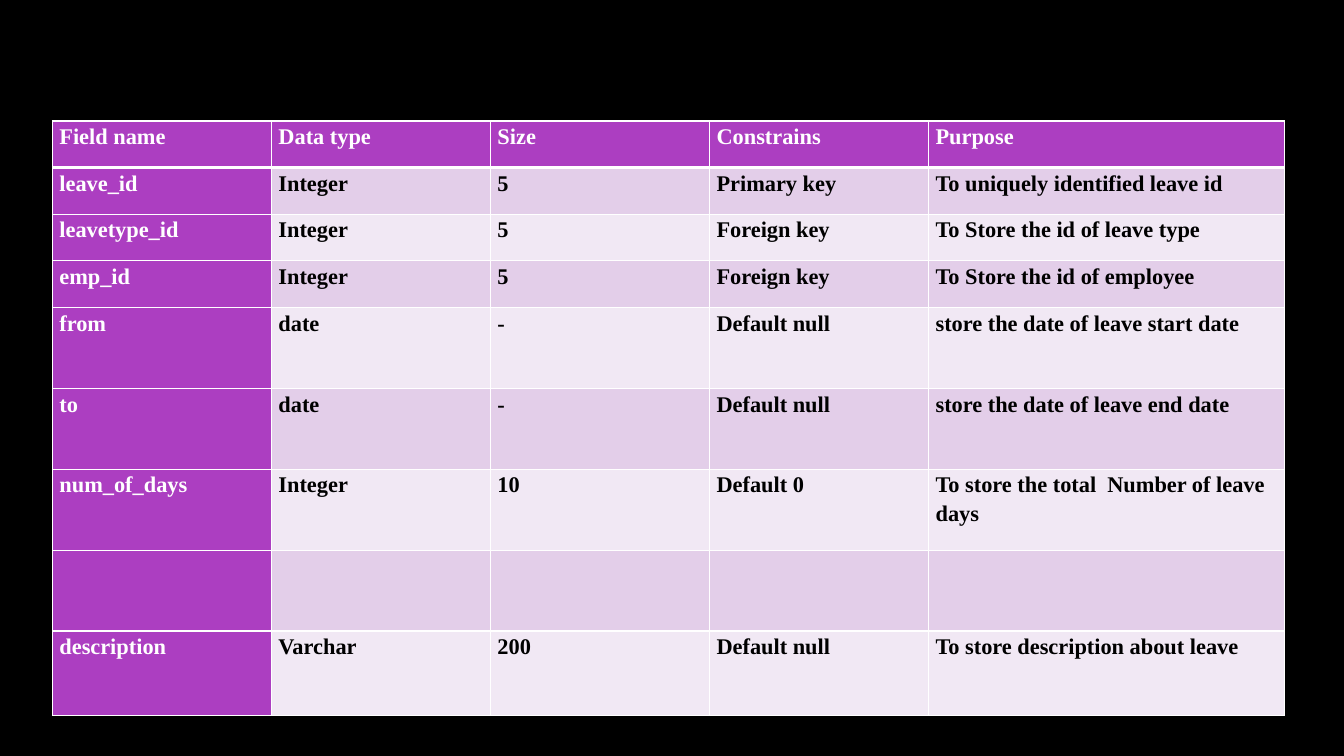
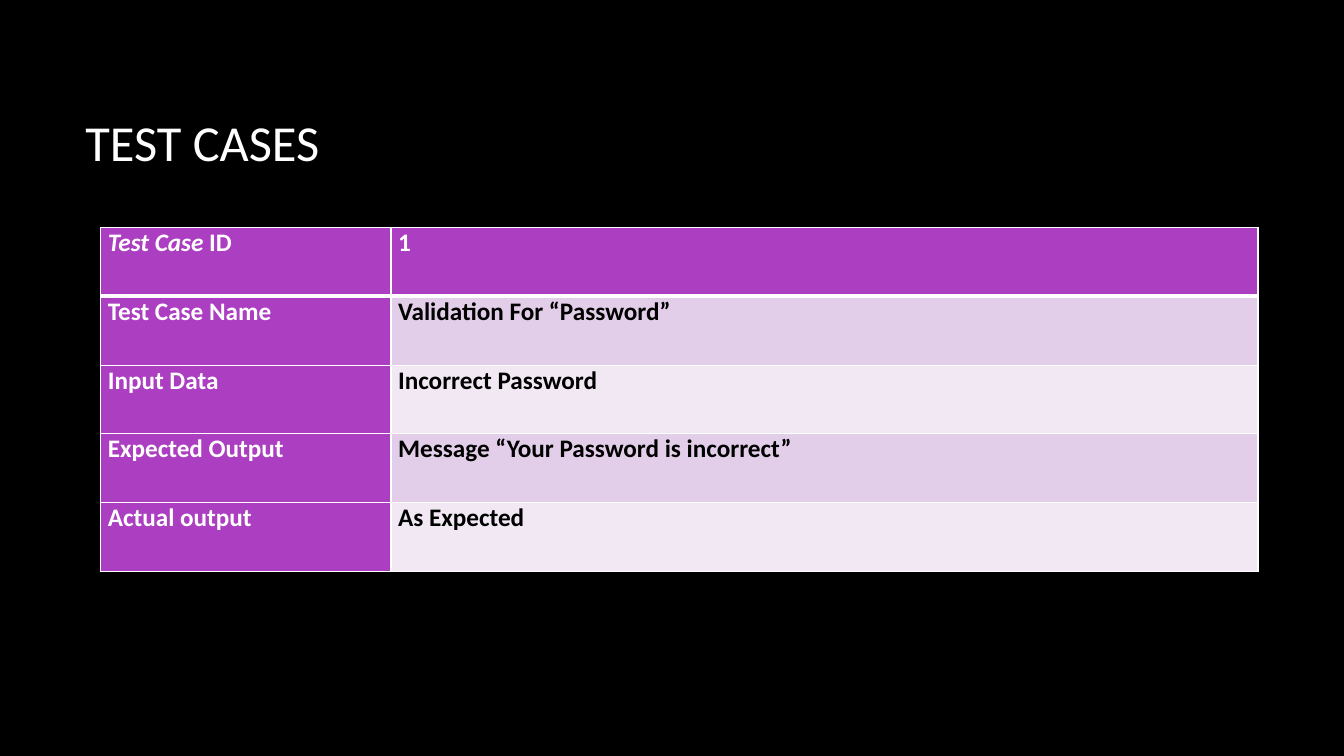
from lxml import etree
from pptx import Presentation
from pptx import util as u
from pptx.dml import color as dml
from pptx.enum import text
from pptx.oxml import ns

TITLE_ONLY, BLANK = 5, 6


def rgb(value):
    return dml.RGBColor.from_string(value)


def apply(target, values):
    for name, value in values.items():
        setattr(target, name, value)


class Deck:
    BLACK, WHITE = "000000", "FFFFFF"
    PURPLE, BANDS = "AC3EC1", ("E3CEE9", "F1E8F4")
    THIN, THICK = 1, 3
    TITLE_FONT = {"name": "Calibri", "size": u.Pt(36), "bold": False}
    TITLE_FRAME = {"vertical_anchor": text.MSO_ANCHOR.MIDDLE, "word_wrap": True,
                   "auto_size": text.MSO_AUTO_SIZE.NONE}
    CELL = {"margin_left": u.Inches(0.07), "margin_right": u.Inches(0.07),
            "margin_top": 0, "margin_bottom": 0,
            "vertical_anchor": text.MSO_ANCHOR.TOP}

    def __init__(self):
        self.presentation = Presentation()
        apply(self.presentation, {"slide_width": u.Inches(13.33),
                                  "slide_height": u.Inches(7.5)})
        self.slide = None

    def across(self, percent):
        return round(self.presentation.slide_width * percent / 100)

    def down(self, percent):
        return round(self.presentation.slide_height * percent / 100)

    def add_slide(self, layout):
        layouts = self.presentation.slide_layouts
        self.slide = self.presentation.slides.add_slide(layouts[layout])
        fill = self.slide.background.fill
        fill.solid()
        fill.fore_color.rgb = rgb(self.BLACK)

    def title(self, wording, left, top, width, height):
        shape = self.slide.shapes.title
        apply(shape, {"left": self.across(left), "top": self.down(top),
                      "width": self.across(width), "height": self.down(height)})
        apply(shape.text_frame, self.TITLE_FRAME)
        paragraph = shape.text_frame.paragraphs[0]
        paragraph.alignment = text.PP_ALIGN.LEFT
        self.run(paragraph, wording, self.TITLE_FONT, self.WHITE)

    def run(self, paragraph, wording, font, color):
        run = paragraph.add_run()
        run.text = wording
        apply(run.font, font)
        run.font.color.rgb = rgb(color)

    def borders(self, cell, row):
        properties = cell._tc.get_or_add_tcPr()
        widths = {"lnL": self.THIN, "lnR": self.THIN,
                  "lnT": self.THICK if row == 1 else self.THIN,
                  "lnB": self.THICK if row == 0 else self.THIN}
        for index, (side, width) in enumerate(widths.items()):
            line = etree.Element(ns.qn(f"a:{side}"), w=str(u.Pt(width)))
            fill = etree.SubElement(line, ns.qn("a:solidFill"))
            etree.SubElement(fill, ns.qn("a:srgbClr"), val=self.WHITE)
            properties.insert(index, line)

    def cell(self, cell, row, column, content, font, spacing):
        heading = row == 0 or column == 0
        apply(cell, self.CELL)
        cell.fill.solid()
        cell.fill.fore_color.rgb = rgb(
            self.PURPLE if heading else self.BANDS[(row - 1) % 2])
        self.borders(cell, row)
        paragraph = cell.text_frame.paragraphs[0]
        apply(paragraph, spacing)
        runs = [(content, False)] if isinstance(content, str) else content
        for wording, italic in runs:
            if wording:
                self.run(paragraph, wording, {**font, "italic": italic},
                         self.WHITE if heading else self.BLACK)

    def table(self, left, top, widths, heights, rows, font, spacing):
        table = self.slide.shapes.add_table(
            len(heights), len(widths), self.across(left), self.down(top),
            self.across(sum(widths)), self.down(sum(heights))).table
        table.first_col = True
        for column, width in zip(table.columns, widths):
            column.width = self.across(width)
        for row, height in zip(table.rows, heights):
            row.height = self.down(height)
        for row, contents in enumerate(rows):
            for column, content in enumerate(contents):
                self.cell(table.cell(row, column), row, column,
                          content, font, spacing)


LEAVE_FIELDS = [
    ("Field name", "Data type", "Size", "Constrains", "Purpose"),
    ("leave_id", "Integer", "5", "Primary key", "To uniquely identified leave id"),
    ("leavetype_id", "Integer", "5", "Foreign key", "To Store the id of leave type"),
    ("emp_id", "Integer", "5", "Foreign key", "To Store the id of employee"),
    ("from", "date", "-", "Default null", "store the date of leave start date"),
    ("to", "date", "-", "Default null", "store the date of leave end date"),
    ("num_of_days", "Integer", "10", "Default 0",
     "To store the total  Number of leave days"),
    ("",) * 5,
    ("description", "Varchar", "200", "Default null",
     "To store description about leave"),
]

PASSWORD_TEST = [
    ([("Test Case ", True), ("ID", False)], "1"),
    ("Test Case Name", "Validation For “Password”"),
    ("Input Data", "Incorrect Password"),
    ("Expected Output", "Message “Your Password is incorrect”"),
    ("Actual output", "As Expected"),
]


def main():
    deck = Deck()

    deck.add_slide(BLANK)
    deck.table(3.9, 16, [16.3] * 4 + [26.5], [6.17] * 4 + [10.7] * 4 + [11.2],
               LEAVE_FIELDS,
               {"name": "Times New Roman", "size": u.Pt(16), "bold": True},
               {"line_spacing": 1.15, "space_after": u.Pt(10)})

    deck.add_slide(TITLE_ONLY)
    deck.title("TEST CASES", 5.6, 8.1, 83.1, 21.2)
    deck.table(7.5, 30.1, [21.6, 64.5], [9.1] * 5, PASSWORD_TEST,
               {"name": "Calibri", "size": u.Pt(18), "bold": True}, {})

    deck.presentation.save("out.pptx")


if __name__ == "__main__":
    main()
